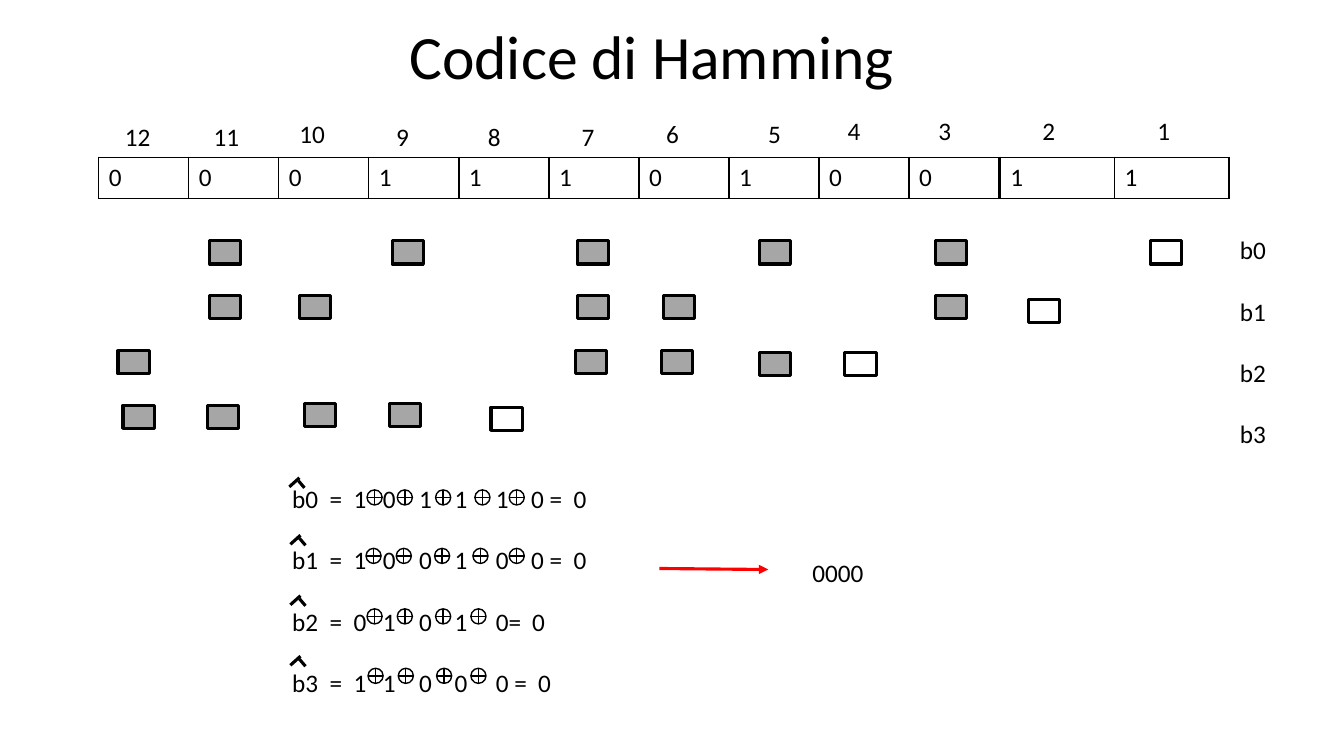
from dataclasses import dataclass

from lxml.etree import SubElement
from pptx import Presentation
from pptx.dml.color import RGBColor
from pptx.enum.shapes import MSO_CONNECTOR as Connector, MSO_SHAPE as Preset
from pptx.enum.text import MSO_ANCHOR as Anchor, PP_ALIGN as Align
from pptx.oxml.ns import qn
from pptx.util import Emu, Pt


@dataclass(frozen=True)
class Theme:
    font: str = "Calibri"
    title_size: int = 44
    text_size: int = 18
    row_gap: int = 22
    thin: float = 1
    thick: float = 2.25
    ink: str = "000000"
    paper: str = "FFFFFF"
    covered: str = "A6A6A6"
    accent: str = "FF0000"


EMU_PER_PX = 9144
SQUARE = (31, 23)
XOR_SIZE = (15, 15)

HIGH_BITS = ["0", "0", "0", "1", "1", "1", "0", "1", "0", "0"]
LOW_BITS = ["1", "1"]
POSITION_LABELS = [
    (1138, 109), (1024, 109), (921, 109), (831, 109), (752, 112), (651, 112),
    (567, 115), (474, 115), (383, 115), (287, 112), (202, 115), (114, 115),
]
PARITY_SQUARES = [(1141, 239), (1020, 297), (838, 350), (487, 404)]
COVERED_SQUARES = [
    (239, [208, 389, 573, 753, 928]),
    (293, [208, 297, 573, 658, 928]),
    (348, [117, 571, 656]),
    (350, [753]),
    (400, [302, 386]),
    (402, [122, 206]),
]
TERM_STOPS = [37, 61, 90, 126, 161, 202, 237]
EQUATIONS = [
    ("b0\t=\t1\t0\t1\t1\t1\t0 =\t0", 279),
    ("b1\t=\t1\t0\t0\t1\t0\t0 =\t0", 279),
    ("b2\t=\t0\t1\t0\t1\t0=\t0", 238),
    ("b3\t=\t1\t1\t0\t0\t0 =\t0", 244),
]
XOR_ROWS = [
    (486, [364, 394, 432, 471, 505]),
    (544, [363, 393, 431, 469, 505]),
    (604, [364, 394, 432, 467]),
    (663, [365, 395, 433, 467]),
]
HAT_PEAKS = [(297, 474), (298, 531), (298, 591), (298, 651)]


def px(length):
    return Emu(length * EMU_PER_PX)


def ink(value):
    return RGBColor.from_string(value)


class HammingPage:
    def __init__(self, page, theme):
        self.page = page
        self.theme = theme

    def style(self, para, size):
        para.font.name = self.theme.font
        para.font.size = Pt(size)
        para.font.color.rgb = ink(self.theme.ink)

    def title(self, text, left, top, width, height):
        box = self.page.shapes.title
        box.left, box.top, box.width, box.height = map(px, (left, top, width, height))
        frame = box.text_frame
        frame.text = text
        frame.vertical_anchor = Anchor.MIDDLE
        para = frame.paragraphs[0]
        para.alignment = Align.LEFT
        para.line_spacing = 0.9
        self.style(para, self.theme.title_size)

    def text(self, lines, left, top, width, height, stops=None):
        box = self.page.shapes.add_textbox(*map(px, (left, top, width, height)))
        frame = box.text_frame
        frame.word_wrap = True
        for index, line in enumerate(lines):
            para = frame.paragraphs[0] if index == 0 else frame.add_paragraph()
            para.text = line
            if index:
                para.space_before = Pt(self.theme.row_gap)
            if stops:
                self.tabs(para, stops[index])
            self.style(para, self.theme.text_size)

    def tabs(self, para, stops):
        tab_list = SubElement(para._p.get_or_add_pPr(), qn("a:tabLst"))
        for stop in stops:
            SubElement(tab_list, qn("a:tab"), pos=str(px(stop)), algn="l")

    def shape(self, preset, left, top, size, weight, fill=None):
        shape = self.page.shapes.add_shape(preset, *map(px, (left, top, *size)))
        shape.shadow.inherit = False
        if fill:
            shape.fill.solid()
            shape.fill.fore_color.rgb = ink(fill)
        else:
            shape.fill.background()
        shape.line.color.rgb = ink(self.theme.ink)
        shape.line.width = Pt(weight)

    def square(self, left, top, fill=None):
        self.shape(Preset.RECTANGLE, left, top, SQUARE, self.theme.thick, fill)

    def xor(self, left, top):
        self.shape(Preset.FLOWCHART_OR, left, top, XOR_SIZE, self.theme.thin, self.theme.paper)

    def line(self, start, end, color, arrow=False):
        line = self.page.shapes.add_connector(Connector.STRAIGHT, *map(px, (*start, *end)))
        line.line.color.rgb = ink(color)
        line.line.width = Pt(self.theme.thick)
        if arrow:
            SubElement(line.line._get_or_add_ln(), qn("a:tailEnd"), type="triangle")
        SubElement(line._element.spPr, qn("a:effectLst"))

    def hat(self, x, y):
        self.line((x - 1, y + 3), (x + 5, y + 10), self.theme.ink)
        self.line((x - 10, y + 9), (x, y), self.theme.ink)

    def table(self, values, left, top, width, height):
        frame = self.page.shapes.add_table(1, len(values), *map(px, (left, top, width, height)))
        table = frame.table
        table.first_row = False
        table.horz_banding = False
        for column, value in enumerate(values):
            table.columns[column].width = Emu(px(width) // len(values))
            cell = table.cell(0, column)
            cell.text = value
            self.style(cell.text_frame.paragraphs[0], self.theme.text_size)
            self.borders(cell)
            cell.fill.background()

    def borders(self, cell):
        properties = cell._tc.get_or_add_tcPr()
        for side in ("lnL", "lnR", "lnT", "lnB"):
            border = SubElement(properties, qn(f"a:{side}"), w=str(Pt(self.theme.thin)))
            fill = SubElement(border, qn("a:solidFill"))
            SubElement(fill, qn("a:srgbClr"), val=self.theme.ink)


def main():
    deck = Presentation()
    deck.slide_width, deck.slide_height = px(1333), px(750)
    theme = Theme()
    page = HammingPage(deck.slides.add_slide(deck.slide_layouts[5]), theme)

    page.title("Codice di Hamming", 396, 17, 540, 85)
    page.text(["b0", "b1", "b2", "b3"], 1220, 228, 72, 222)

    for left, top in PARITY_SQUARES:
        page.square(left, top)
    for top, lefts in COVERED_SQUARES:
        for left in lefts:
            page.square(left, top, theme.covered)

    lines = [line for line, _ in EQUATIONS]
    stops = [TERM_STOPS[:line.count("\t") - 1] + [result] for line, result in EQUATIONS]
    page.text(lines, 280, 475, 354, 222, stops)
    for top, lefts in XOR_ROWS:
        for left in lefts:
            page.xor(left, top)
    for x, y in HAT_PEAKS:
        page.hat(x, y)

    page.line((654, 564), (762, 565), theme.accent, arrow=True)
    page.text(["0000"], 796, 548, 116, 40)

    page.table(HIGH_BITS, 98, 156, 893, 41)
    page.table(LOW_BITS, 992, 156, 227, 41)
    for position, (left, top) in enumerate(POSITION_LABELS, start=1):
        page.text([str(position)], left, top, 53, 40)

    deck.save("out.pptx")


if __name__ == "__main__":
    main()
